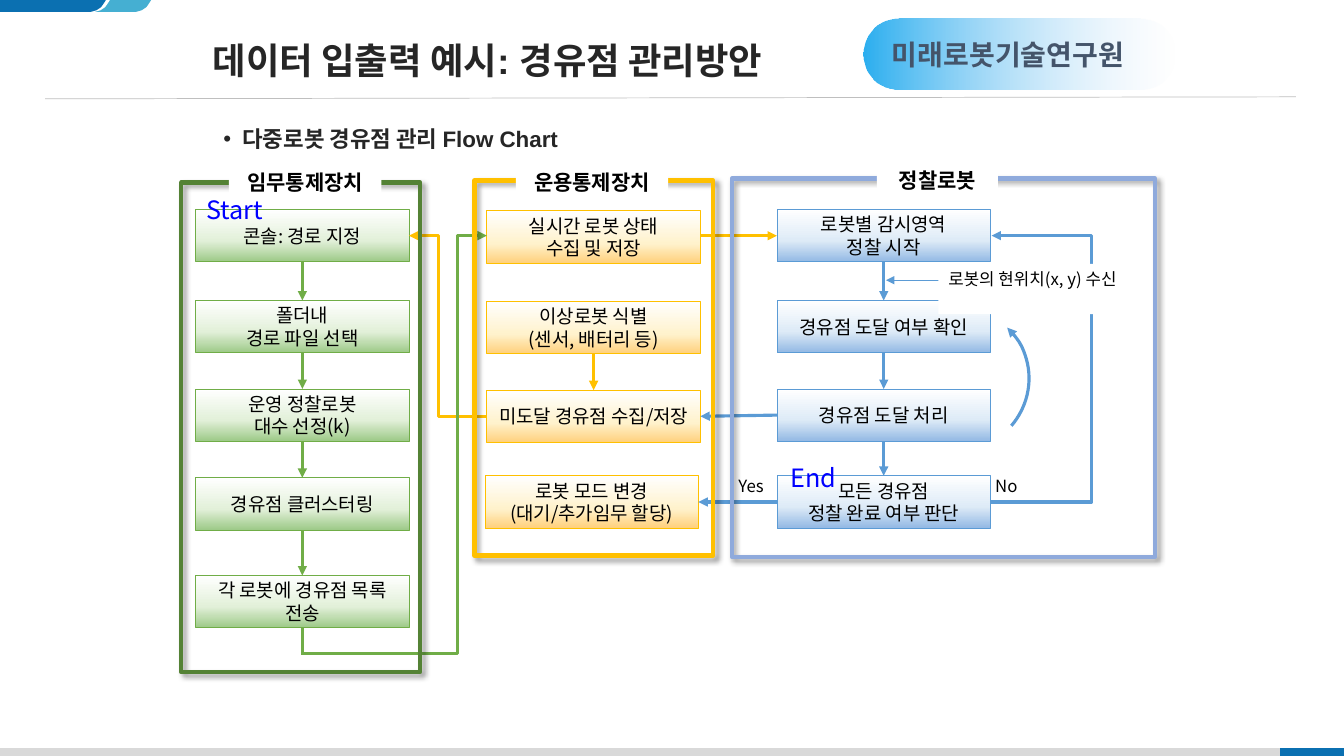
from lxml import etree
from pptx import Presentation
from pptx import util as u
from pptx.dml.color import RGBColor
from pptx.enum import shapes, text
from pptx.oxml.ns import qn

CJK, LATIN = "Noto Sans CJK KR", "Arial"
GREEN, YELLOW, BLUE = "70AD47", "FFC000", "5B9BD5"
BOX_W, BOX_H = 5.38, 1.32
MID_X, MID_Y = BOX_W / 2, BOX_H / 2

COLUMNS = [
    dict(line=GREEN, stops=[(0, "FFFFFF"), (60, "E2F0D9"), (100, "9CC987")], links=[0, 1, 2, 3],
         boxes=[(4.93, 5.28, "콘솔: 경로 지정"),
                (4.93, 7.57, "폴더내\n경로 파일 선택"),
                (4.93, 9.8, "운영 정찰로봇\n대수 선정(k)"),
                (4.93, 12.04, "경유점 클러스터링"),
                (4.93, 14.5, "각 로봇에 경유점 목록 전송")]),
    dict(line=YELLOW, stops=[(0, "FFFFFF"), (63, "FFF2CC"), (100, "FFD07C")], links=[1],
         boxes=[(12.27, 5.31, "실시간 로봇 상태\n수집 및 저장"),
                (12.27, 7.59, "이상로봇 식별\n(센서, 배터리 등)"),
                (12.27, 9.83, "미도달 경유점 수집/저장"),
                (12.22, 11.99, "로봇 모드 변경\n(대기/추가임무 할당)")]),
    dict(line=BLUE, stops=[(0, "FFFFFF"), (59, "DEEBF7"), (100, "93B9E4")], links=[0, 1, 2],
         boxes=[(19.58, 5.28, "로봇별 감시영역\n정찰 시작"),
                (19.58, 7.57, "경유점 도달 여부 확인"),
                (19.58, 9.8, "경유점 도달 처리"),
                (19.58, 11.99, "모든 경유점\n정찰 완료 여부 판단")]),
]
ARROWS = [
    ((17.65, 5.94), (19.58, 5.94), YELLOW, 2.25),
    ((19.58, 10.46), (17.65, 10.49), BLUE, 2.25),
    ((19.58, 12.65), (17.6, 12.65), BLUE, 2.25),
    ((24.89, 7.06), (22.33, 7.06), BLUE, 0.5),
]
ELBOWS = [
    ((12.27, 10.49), (10.31, 5.94), 11.05, YELLOW),
    ((24.97, 12.65), (24.99, 5.94), 27.51, BLUE),
    ((7.62, 16.46), (12.27, 5.94), 11.53, GREEN),
]
FRAMES = [
    ((4.57, 4.6, 6.02, 12.34), "548235", (5.77, 4.14, 3.84, 0.89), "임무통제장치"),
    ((11.96, 4.55, 6.02, 9.45), YELLOW, (13, 4.14, 3.84, 0.89), "운용통제장치"),
    ((18.44, 4.5, 10.67, 9.53), "8FAADC", (22.1, 4.09, 3.05, 0.89), "정찰로봇"),
]
TAGS = [
    ((4.93, 4.78, 1.98, 1.02), "Start", 18, "0000FF"),
    ((19.51, 11.53, 1.98, 1.02), "End", 18, "0000FF"),
    ((24.74, 11.86, 1.24, 0.76), "No", 12, "000000"),
    ((18.31, 11.86, 1.24, 0.76), "Yes", 12, "000000"),
]
CORNER = [(0, 0), (2.67, 0), (2.62, 0.08), (2.55, 0.18), (2.43, 0.26), (2.29, 0.3), (0, 0.3)]
CORNER_TABS = [(1.14, "45AFD2"), (0.1, "FFFFFF"), (0, "0B70B1")]
FOOTER = [((0, 18.85, 33.87, 0.2), "D9D9D9"), ((32.26, 18.85, 1.61, 0.2), "0B70B1")]


def rgb(value):
    return RGBColor.from_string(value)


def sub(parent, tag, **attrs):
    return etree.SubElement(parent, qn(tag), {k: str(v) for k, v in attrs.items()})


def cm(values):
    return [u.Cm(v) for v in values]


def paint(sp, fill=None, line=None, width=0.5):
    sp.shadow.inherit = False
    if fill:
        sp.fill.solid()
        sp.fill.fore_color.rgb = rgb(fill)
    else:
        sp.fill.background()
    if line:
        sp.line.color.rgb = rgb(line)
        sp.line.width = u.Pt(width)
    else:
        sp.line.fill.background()


def shape(kind, at, fill=None, line=None, width=0.5):
    sp = s.shapes.add_shape(kind, *cm(at))
    paint(sp, fill, line, width)
    return sp


def gradient(sp, stops, angle):
    spPr = sp._element.spPr
    spPr.remove(spPr.find(qn("a:noFill")))
    grad = etree.Element(qn("a:gradFill"), rotWithShape="1")
    spPr.find(qn("a:prstGeom")).addnext(grad)
    gs_list = sub(grad, "a:gsLst")
    for pos, color, *alpha in stops:
        clr = sub(sub(gs_list, "a:gs", pos=pos * 1000), "a:srgbClr", val=str(rgb(color)))
        for a in alpha:
            sub(clr, "a:alpha", val=a * 1000)
    sub(grad, "a:lin", ang=angle * 60000, scaled=0)


def write(sp, words, size, color="000000", name=CJK, bold=False, align="LEFT",
          anchor="TOP", wrap=True, bullet=False, spacing=None):
    tf = sp.text_frame
    tf.word_wrap = wrap
    tf.vertical_anchor = text.MSO_ANCHOR[anchor]
    tf.text = words
    for p in tf.paragraphs:
        p.alignment = text.PP_ALIGN[align]
        if spacing:
            p.line_spacing = spacing
        pPr = p._p.get_or_add_pPr()
        if bullet:
            pPr.set("marL", str(u.Cm(0.48)))
            pPr.set("indent", str(-u.Cm(0.48)))
            sub(pPr, "a:buFont", typeface=LATIN)
            sub(pPr, "a:buChar", char="•")
        f = p.font
        f.size, f.bold, f.name = u.Pt(size), bold, name
        f.color.rgb = rgb(color)
        sub(pPr.find(qn("a:defRPr")), "a:ea", typeface=CJK)


def label(at, words, size, **style):
    write(s.shapes.add_textbox(*cm(at)), words, size, **style)


def connect(start, end, color, width=2.25, arrow=True, via=None):
    kind = shapes.MSO_CONNECTOR.STRAIGHT if via is None else shapes.MSO_CONNECTOR.ELBOW
    c = s.shapes.add_connector(kind, *cm(start + end))
    c.line.color.rgb = rgb(color)
    c.line.width = u.Pt(width)
    spPr = c._element.spPr
    if arrow:
        sub(c.line._get_or_add_ln(), "a:tailEnd", type="triangle")
    sub(spPr, "a:effectLst")
    if via is not None:
        adj = round((via - start[0]) / (end[0] - start[0]) * 100000)
        av = spPr.find(qn("a:prstGeom")).find(qn("a:avLst"))
        sub(av, "a:gd", name="adj1", fmla=f"val {adj}")


prs = Presentation()
prs.slide_width, prs.slide_height = cm((33.87, 19.05))
s = prs.slides.add_slide(prs.slide_layouts[6])
RECT = shapes.MSO_SHAPE.RECTANGLE

for at, color in FOOTER:
    shape(RECT, at, color)
for left, color in CORNER_TABS:
    points = [cm((left + x, y)) for x, y in CORNER]
    fb = s.shapes.build_freeform(*points[0])
    fb.add_line_segments(points[1:])
    paint(fb.convert_to_shape(), color)
connect((1.14, 2.49), (32.66, 2.44), "BFBFBF", 0.5, arrow=False)
label((5.11, 0.99, 16.5, 1.17), "데이터 입출력 예시: 경유점 관리방안", 26, color="262626",
      name=LATIN, bold=True, anchor="MIDDLE", spacing=0.9)
label((5.38, 2.97, 23.57, 1.2), "다중로봇 경유점 관리 Flow Chart", 16, color="262626",
      name=LATIN, bold=True, bullet=True, spacing=1.1)

for col in COLUMNS:
    for x, y, words in col["boxes"]:
        sp = shape(RECT, (x, y, BOX_W, BOX_H), line=col["line"])
        gradient(sp, col["stops"], 90)
        write(sp, words, 13.5, align="CENTER", anchor="MIDDLE")
    for i in col["links"]:
        x, y, _ = col["boxes"][i]
        connect((x + MID_X, y + BOX_H), (x + MID_X, col["boxes"][i + 1][1]), col["line"])

for start, end, color, width in ARROWS:
    connect(start, end, color, width)
connect((7.62, 15.82), (7.62, 16.5), GREEN, arrow=False)
for start, end, via, color in ELBOWS:
    connect(start, end, color, via=via)

retry = shape(shapes.MSO_SHAPE.ARC, (22.38, 7.77, 3.53, 3.63), line=BLUE, width=2.25)
retry.rotation = 43
retry.adjustments[0], retry.adjustments[1] = 162, 214.48
sub(retry.line._get_or_add_ln(), "a:headEnd", type="triangle")

write(shape(RECT, (23.65, 6.65, 4.93, 1.27), "FFFFFF"), "로봇의 현위치(x, y) 수신", 12)

for at, color, label_at, words in FRAMES:
    frame = shape(RECT, at, line=color, width=3)
    shadow = sub(frame._element.spPr.find(qn("a:effectLst")), "a:outerShdw", blurRad=u.Pt(4),
                 dist=u.Pt(3), dir=45 * 60000, algn="tl", rotWithShape=0)
    sub(sub(shadow, "a:srgbClr", val=str(rgb("000000"))), "a:alpha", val=40000)
    write(shape(RECT, label_at, "FFFFFF"), words, 15, bold=True, align="CENTER")

for at, words, size, color in TAGS:
    label(at, words, size, color=color, align="CENTER", wrap=False)

banner = shape(shapes.MSO_SHAPE.ROUNDED_RECTANGLE, (21.77, 0.48, 7.85, 1.78))
banner.adjustments[0] = 0.5
gradient(banner, [(0, "2CAFF0", 100), (100, "CAE2F9", 0)], 0)
label((22.23, 0.81, 6.93, 1.12), "미래로봇기술연구원", 20, color="44546A", name=LATIN, bold=True)

prs.save("out.pptx")
